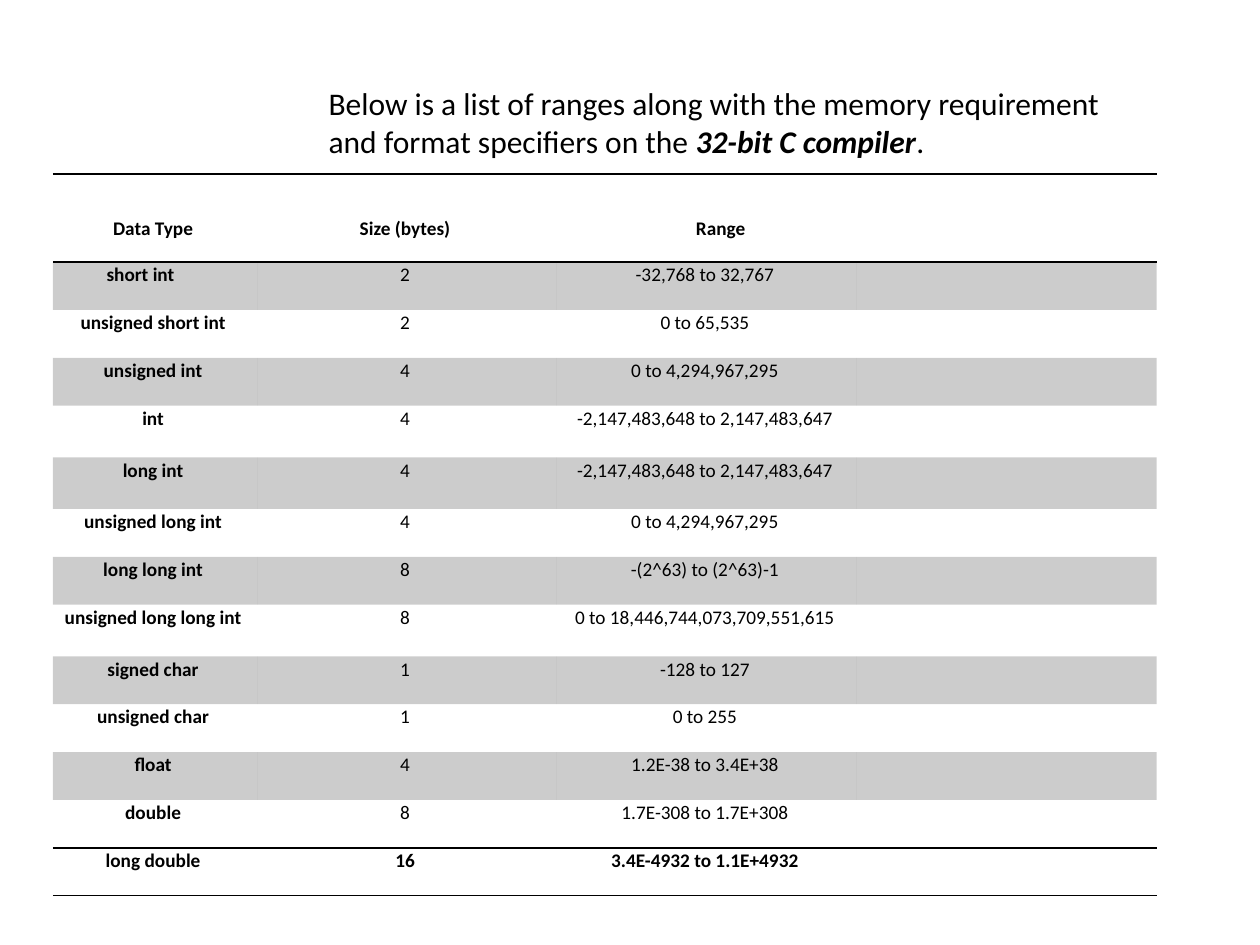
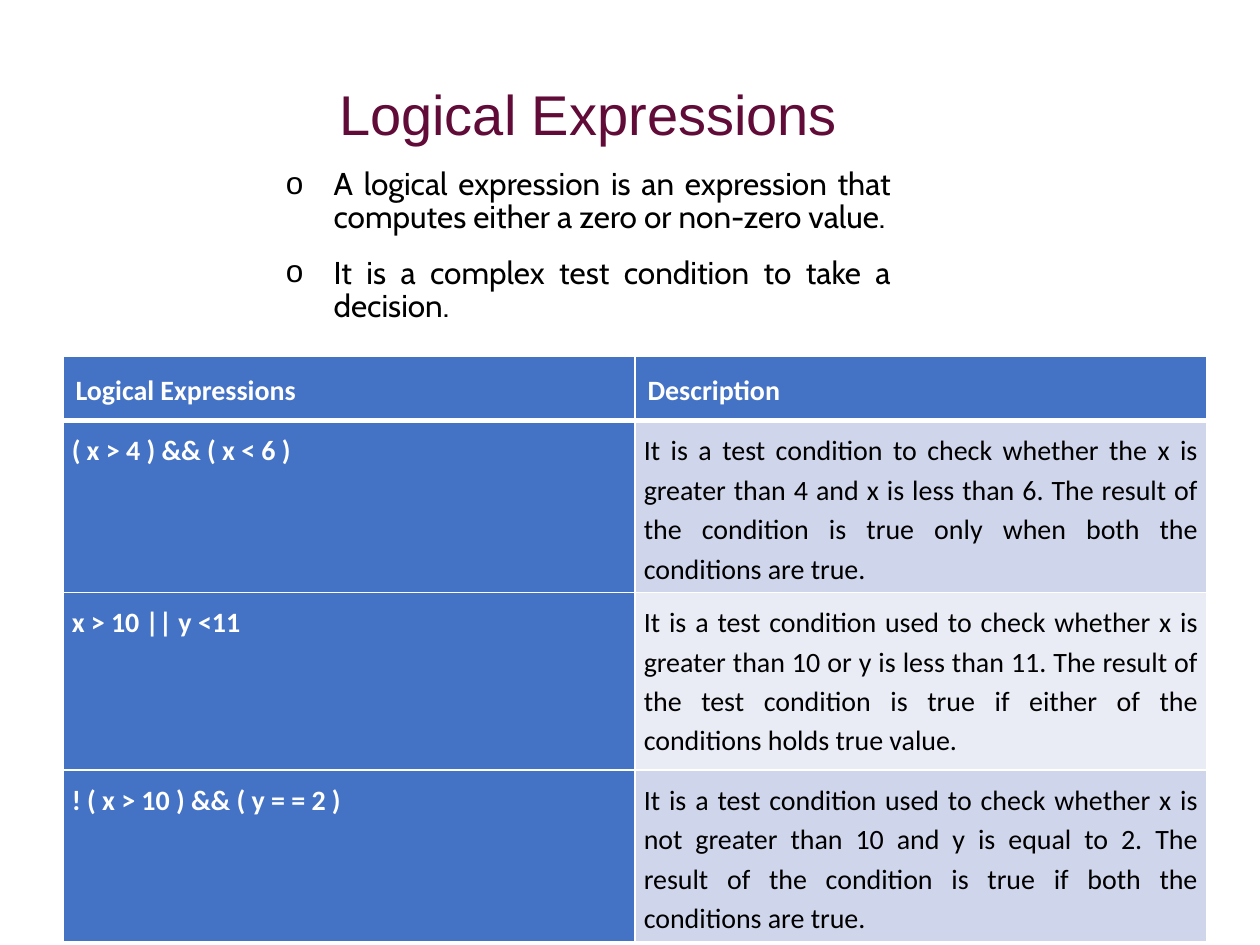
from dataclasses import dataclass

from lxml.etree import SubElement
from pptx import Presentation
from pptx.dml.color import RGBColor
from pptx.enum.text import MSO_AUTO_SIZE, PP_ALIGN
from pptx.oxml.ns import qn
from pptx.util import Inches, Pt


@dataclass(frozen=True)
class Theme:
    body_font: str = "Calibri"
    title_font: str = "Arial"
    bullet_font: str = "Cabin"
    black: str = "000000"
    white: str = "FFFFFF"
    title: str = "610B38"
    blue: str = "4472C4"
    bands: tuple = ("CFD5EA", "E9EBF5")
    band_alpha: int = 20
    title_size: int = 32
    text_size: int = 18
    cell_size: int = 16
    small_size: int = 11


THEME = Theme()
PLAIN_TABLE = "{2D5ABB26-0587-4C30-8999-92F81FD0307C}"

TYPE_HEAD = ["Data Type", "Size (bytes)", "Range", ""]
TYPES = [
    ("short int", "2", "-32,768 to 32,767"),
    ("unsigned short int", "2", "0 to 65,535"),
    ("unsigned int", "4", "0 to 4,294,967,295"),
    ("int", "4", "-2,147,483,648 to 2,147,483,647"),
    ("long int", "4", "-2,147,483,648 to 2,147,483,647"),
    ("unsigned long int", "4", "0 to 4,294,967,295"),
    ("long long int", "8", "-(2^63) to (2^63)-1"),
    ("unsigned long long int", "8", "0 to 18,446,744,073,709,551,615"),
    ("signed char", "1", "-128 to 127"),
    ("unsigned char", "1", "0 to 255"),
    ("float", "4", "1.2E-38 to 3.4E+38"),
    ("double", "8", "1.7E-308 to 1.7E+308"),
    ("long double", "16", "3.4E-4932 to 1.1E+4932"),
]
TALL_TYPES = {"int", "long int", "unsigned long long int"}

EXPRESSIONS = [
    ("( x > 4 ) && ( x < 6 )",
     "It is a test condition to check whether the x is greater than 4 and x is less than 6. "
     "The result of the condition is true only when both the conditions are true."),
    ("x > 10 || y <11",
     "It is a test condition used to check whether x is greater than 10 or y is less than 11. "
     "The result of the test condition is true if either of the conditions holds true value."),
    ("! ( x > 10 ) && ( y = = 2 )",
     "It is a test condition used to check whether x is not greater than 10 and y is equal to 2. "
     "The result of the condition is true if both the conditions are true."),
]


def add_text(p, text, size=THEME.text_size, font=THEME.body_font, color=THEME.black,
             bold=False, italic=False, align=None, spacing=None, before=None, after=None):
    """Add a run to a paragraph and set the paragraph's format where given."""
    r = p.add_run()
    r.text = text
    r.font.size, r.font.name = Pt(size), font
    r.font.bold, r.font.italic = bold, italic
    r.font.color.rgb = RGBColor.from_string(color)
    if align is not None:
        p.alignment = align
    if spacing is not None:
        p.line_spacing = spacing
    if before is not None:
        p.space_before = Pt(before)
    if after is not None:
        p.space_after = Pt(after)


def add_textbox(s, left, top, width, height):
    tf = s.shapes.add_textbox(Inches(left), Inches(top), Inches(width), Inches(height)).text_frame
    tf.word_wrap = True
    tf.auto_size = MSO_AUTO_SIZE.SHAPE_TO_FIT_TEXT
    return tf


def add_bullet(p, char, indent):
    pPr = p._p.get_or_add_pPr()
    pPr.set("marL", str(Inches(indent)))
    pPr.set("indent", str(-Inches(indent)))
    SubElement(pPr, qn("a:buFont"), typeface=THEME.title_font)
    SubElement(pPr, qn("a:buChar"), char=char)


def add_plain_table(s, left, top, widths, heights):
    """Add a table whose style brings no fill and no grid."""
    frame = s.shapes.add_table(len(heights), len(widths), Inches(left), Inches(top),
                               Inches(sum(widths)), Inches(sum(heights)))
    table = frame.table
    table.horz_banding = False
    table._tbl.tblPr.find(qn("a:tableStyleId")).text = PLAIN_TABLE
    for column, width in zip(table.columns, widths):
        column.width = Inches(width)
    for row, height in zip(table.rows, heights):
        row.height = Inches(height)
    return table


def set_margins(cell, left, top, right, bottom):
    cell.margin_left, cell.margin_top = Inches(left), Inches(top)
    cell.margin_right, cell.margin_bottom = Inches(right), Inches(bottom)


def set_borders(cell, color, **widths):
    """Draw cell sides, given as L, R, T or B with a width in points."""
    tcPr = cell._tc.get_or_add_tcPr()
    sides = [side for side in "LRTB" if side in widths]
    for i, side in enumerate(sides):
        ln = tcPr.makeelement(qn(f"a:ln{side}"), {"w": str(Pt(widths[side]))})
        SubElement(SubElement(ln, qn("a:solidFill")), qn("a:srgbClr"), val=color)
        tcPr.insert(i, ln)


def fill_cell(cell, color, alpha=None):
    cell.fill.solid()
    cell.fill.fore_color.rgb = RGBColor.from_string(color)
    if alpha is not None:
        clr = cell._tc.tcPr.find(qn("a:solidFill")).find(qn("a:srgbClr"))
        SubElement(clr, qn("a:alpha"), val=str(alpha * 1000))


def build_ranges_slide(s):
    p = add_textbox(s, 2.51, 0.62, 6.67, 1.01).paragraphs[0]
    add_text(p, "Below is a list of ranges along with the memory requirement "
                "and format specifiers on the ")
    add_text(p, "32-bit C compiler", bold=True, italic=True)
    add_text(p, ".")

    heights = [0.7] + [0.41 if name in TALL_TYPES else 0.38 for name, *_ in TYPES]
    table = add_plain_table(s, 0.42, 1.38, [1.62] + [2.38] * 3, heights)
    last = len(TYPES)
    for i, row in enumerate([TYPE_HEAD] + [[*entry, ""] for entry in TYPES]):
        for j, text in enumerate(row):
            cell = table.cell(i, j)
            set_margins(cell, 0.01, 0.34 if i == 0 else 0.01, 0.04, 0.01)
            if text:
                add_text(cell.text_frame.paragraphs[0], text, size=THEME.small_size,
                         bold=j == 0 or i in (0, last), align=PP_ALIGN.CENTER)
            if i in (0, last):
                set_borders(cell, THEME.black, T=1, B=1)
            elif i % 2:
                fill_cell(cell, THEME.black, THEME.band_alpha)
    table.cell(0, 2).margin_left = Inches(0.26)
    table.cell(1, 0).margin_right = Inches(0.24)


def build_logic_slide(s):
    tf = add_textbox(s, 2.17, 0.5, 5, 2.42)
    add_text(tf.paragraphs[0], "Logical Expressions", size=THEME.title_size,
             font=THEME.title_font, color=THEME.title, align=PP_ALIGN.CENTER,
             spacing=1.15, after=10)
    for text in ("A logical expression is an expression that computes either "
                 "a zero or non-zero value.",
                 "It is a complex test condition to take a decision."):
        p = tf.add_paragraph()
        add_text(p, text, font=THEME.bullet_font, align=PP_ALIGN.JUSTIFY,
                 spacing=Pt(18.8), before=3, after=10)
        add_bullet(p, "o", 0.38)

    table = add_plain_table(s, 0.5, 2.83, [4.54] * 2, [0.49, 1.32, 1.41, 1.32])
    for i, row in enumerate([("Logical Expressions", "Description")] + EXPRESSIONS):
        head = i == 0
        for j, text in enumerate(row):
            cell = table.cell(i, j)
            strong = head or j == 0
            set_margins(cell, *[0.1 if head else 0.07] * 4)
            add_text(cell.text_frame.paragraphs[0], text, size=THEME.cell_size,
                     color=THEME.white if strong else THEME.black, bold=strong,
                     align=PP_ALIGN.LEFT if head else PP_ALIGN.JUSTIFY,
                     spacing=1.15, after=10)
            fill_cell(cell, THEME.blue if strong else THEME.bands[(i - 1) % 2])
            set_borders(cell, THEME.white, L=1, R=1, T=3 if i == 1 else 1, B=3 if head else 1)


def main():
    prs = Presentation()
    prs.slide_width, prs.slide_height = Inches(10), Inches(7.5)
    for build in (build_ranges_slide, build_logic_slide):
        build(prs.slides.add_slide(prs.slide_layouts[6]))
    prs.save("out.pptx")


if __name__ == "__main__":
    main()
